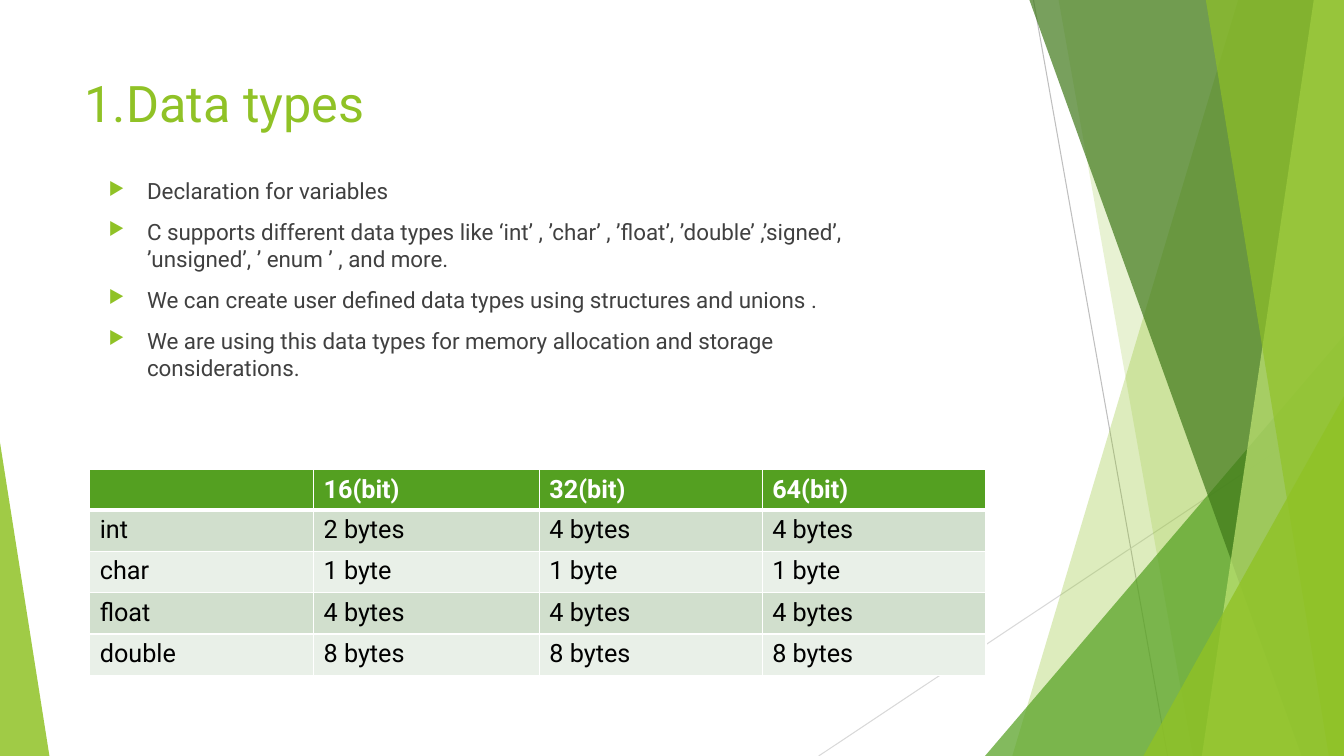
import dataclasses

import pptx
import pptx.dml.color
import pptx.enum.shapes
import pptx.enum.text
import pptx.oxml
import pptx.oxml.ns
import pptx.util

Inches = pptx.util.Inches
Pt = pptx.util.Pt
MSO_SHAPE = pptx.enum.shapes.MSO_SHAPE
MSO_ANCHOR = pptx.enum.text.MSO_ANCHOR
WIDTH, HEIGHT = 13.33, 7.5


@dataclasses.dataclass(frozen=True)
class Theme:
    font: str = "Roboto"
    title_size: int = 36
    body_size: int = 16
    table_size: int = 18
    lime: str = "90C226"
    green: str = "54A021"
    forest: str = "3F7819"
    pale_lime: str = "C0E474"
    body: str = "404040"
    black: str = "000000"
    white: str = "FFFFFF"
    stripes: tuple[str, str] = ("D1DFCD", "E9F0E8")
    gray: str = "BFBFBF"
    light_gray: str = "D9D9D9"


@dataclasses.dataclass(frozen=True)
class Line:
    x1: float
    y1: float
    x2: float
    y2: float
    color: str


@dataclasses.dataclass(frozen=True)
class Band:
    """Full-height area from a slanted left edge to the slide's right edge."""
    top_x: float
    bottom_x: float
    color: str
    opacity: int


@dataclasses.dataclass(frozen=True)
class Corner:
    """Right triangle standing on the slide's bottom edge."""
    left: float
    top: float
    width: float
    apex: float
    color: str
    opacity: int


THEME = Theme()

LINES = [
    Line(10.25, 0, 11.58, HEIGHT, THEME.gray),
    Line(WIDTH, 4.03, 8.12, HEIGHT, THEME.light_gray),
]
FACETS = [
    Band(12.28, 10.04, THEME.lime, 30),
    Band(10.5, 11.83, THEME.lime, 20),
    Corner(9.77, 3.33, 3.56, 1, THEME.green, 72),
    Band(10.21, 12.91, THEME.forest, 70),
    Band(13.03, 11.92, THEME.pale_lime, 70),
    Band(11.96, 13.18, THEME.lime, 65),
    Corner(11.34, 3.93, 1.99, 1, THEME.lime, 80),
    Corner(0, 4.39, 0.49, 0, THEME.lime, 85),
]
BULLETS = [
    "Declaration for variables",
    "C supports different data types like ‘int’ , ’char’ , ’float’, ’double’ ,"
    "’signed’, ’unsigned’, ’ enum ’ , and more.",
    "We can create user defined data types using structures and unions .",
    "We are using this data types for memory allocation and storage considerations.",
]
SIZES = [
    ["", "16(bit)", "32(bit)", "64(bit)"],
    ["int", "2 bytes", "4 bytes", "4 bytes"],
    ["char", "1 byte", "1 byte", "1 byte"],
    ["float", "4 bytes", "4 bytes", "4 bytes"],
    ["double", "8 bytes", "8 bytes", "8 bytes"],
]
COLUMN_WIDTHS = [2.22, 2.24, 2.21, 2.22]


def rgb(color: str) -> pptx.dml.color.RGBColor:
    return pptx.dml.color.RGBColor.from_string(color)


def xml(markup: str):
    """Parse one DrawingML element, written without its namespace declaration."""
    tag, rest = markup.split(" ", 1)
    return pptx.oxml.parse_xml(f"{tag} {pptx.oxml.ns.nsdecls('a')} {rest}")


def add_run(p, text: str, size: int, color: str, bold: bool = False) -> None:
    r = p.add_run()
    r.text = text
    r.font.name = THEME.font
    r.font.size = Pt(size)
    r.font.bold = bold
    r.font.color.rgb = rgb(color)


def draw_line(slide, line: Line) -> None:
    s = slide.shapes.add_connector(
        pptx.enum.shapes.MSO_CONNECTOR.STRAIGHT,
        Inches(line.x1), Inches(line.y1), Inches(line.x2), Inches(line.y2))
    s.line.color.rgb = rgb(line.color)
    s.line.width = Pt(0.75)
    s._element.spPr.append(xml("<a:effectLst />"))


def draw_facet(slide, facet: Band | Corner) -> None:
    if isinstance(facet, Band):
        builder = slide.shapes.build_freeform(
            Inches(facet.top_x), 0, scale=1.0)
        builder.add_line_segments([
            (Inches(WIDTH), 0), (Inches(WIDTH), Inches(HEIGHT)),
            (Inches(facet.bottom_x), Inches(HEIGHT))], close=True)
        s = builder.convert_to_shape()
    else:
        s = slide.shapes.add_shape(
            MSO_SHAPE.ISOSCELES_TRIANGLE, Inches(facet.left), Inches(facet.top),
            Inches(facet.width), Inches(HEIGHT - facet.top))
        s.adjustments[0] = facet.apex
    s.shadow.inherit = False
    s.line.fill.background()
    s.fill.solid()
    s.fill.fore_color.rgb = rgb(facet.color)
    color = s._element.spPr.find(".//" + pptx.oxml.ns.qn("a:srgbClr"))
    color.append(xml(f'<a:alpha val="{facet.opacity * 1000}"/>'))


def draw_title(slide, text: str) -> None:
    s = slide.shapes.title
    s.left, s.top, s.width, s.height = map(Inches, (0.74, 0.67, 9.4, 1.44))
    tf = s.text_frame
    tf.vertical_anchor = MSO_ANCHOR.TOP
    p = tf.paragraphs[0]
    p.alignment = pptx.enum.text.PP_ALIGN.LEFT
    add_run(p, text, THEME.title_size, THEME.lime)


def draw_bullets(slide, items: list[str]) -> None:
    s = slide.shapes.add_textbox(*map(Inches, (0.98, 1.49, 7.99, 2.26)))
    tf = s.text_frame
    tf.word_wrap = True
    tf.margin_top = Inches(0.27)
    for i, item in enumerate(items):
        p = tf.add_paragraph() if i else tf.paragraphs[0]
        p.space_before = Pt(10 if i else 0)
        pPr = p._p.get_or_add_pPr()
        pPr.set("marL", str(Inches(0.38)))
        pPr.set("indent", str(-Inches(0.38)))
        pPr.append(xml(f'<a:buClr ><a:srgbClr val="{THEME.lime}"/></a:buClr>'))
        pPr.append(xml('<a:buSzPct val="80000"/>'))
        pPr.append(xml('<a:buChar char="▶"/>'))
        add_run(p, item, THEME.body_size, THEME.body)


def set_borders(cell, widths: dict[str, float]) -> None:
    tcPr = cell._tc.get_or_add_tcPr()
    for i, (side, width) in enumerate(widths.items()):
        tcPr.insert(i, xml(
            f'<a:ln{side} w="{Pt(width)}"><a:solidFill>'
            f'<a:srgbClr val="{THEME.white}"/></a:solidFill></a:ln{side}>'))


def draw_table(slide, rows: list[list[str]]) -> None:
    frame = slide.shapes.add_table(
        len(rows), len(rows[0]), *map(Inches, (0.89, 4.66, 8.89, 2.02)))
    table = frame.table
    for column, width in zip(table.columns, COLUMN_WIDTHS):
        column.width = Inches(width)
    for i, row in enumerate(rows):
        header = i == 0
        table.rows[i].height = Inches(0.4 if header else 0.41)
        for j, text in enumerate(row):
            cell = table.cell(i, j)
            cell.fill.solid()
            cell.fill.fore_color.rgb = rgb(
                THEME.green if header else THEME.stripes[(i - 1) % 2])
            set_borders(cell, {"L": 1, "R": 1, "T": 3 if i == 1 else 1,
                               "B": 3 if header else 1})
            if text:
                add_run(cell.text_frame.paragraphs[0], text, THEME.table_size,
                        THEME.white if header else THEME.black, header)


prs = pptx.Presentation()
prs.slide_width, prs.slide_height = Inches(WIDTH), Inches(HEIGHT)
slide = prs.slides.add_slide(prs.slide_layouts.get_by_name("Title Only"))

# Background decoration
for line in LINES:
    draw_line(slide, line)
for facet in FACETS:
    draw_facet(slide, facet)

# Content
draw_title(slide, "1.Data types")
draw_bullets(slide, BULLETS)
draw_table(slide, SIZES)

prs.save("out.pptx")
